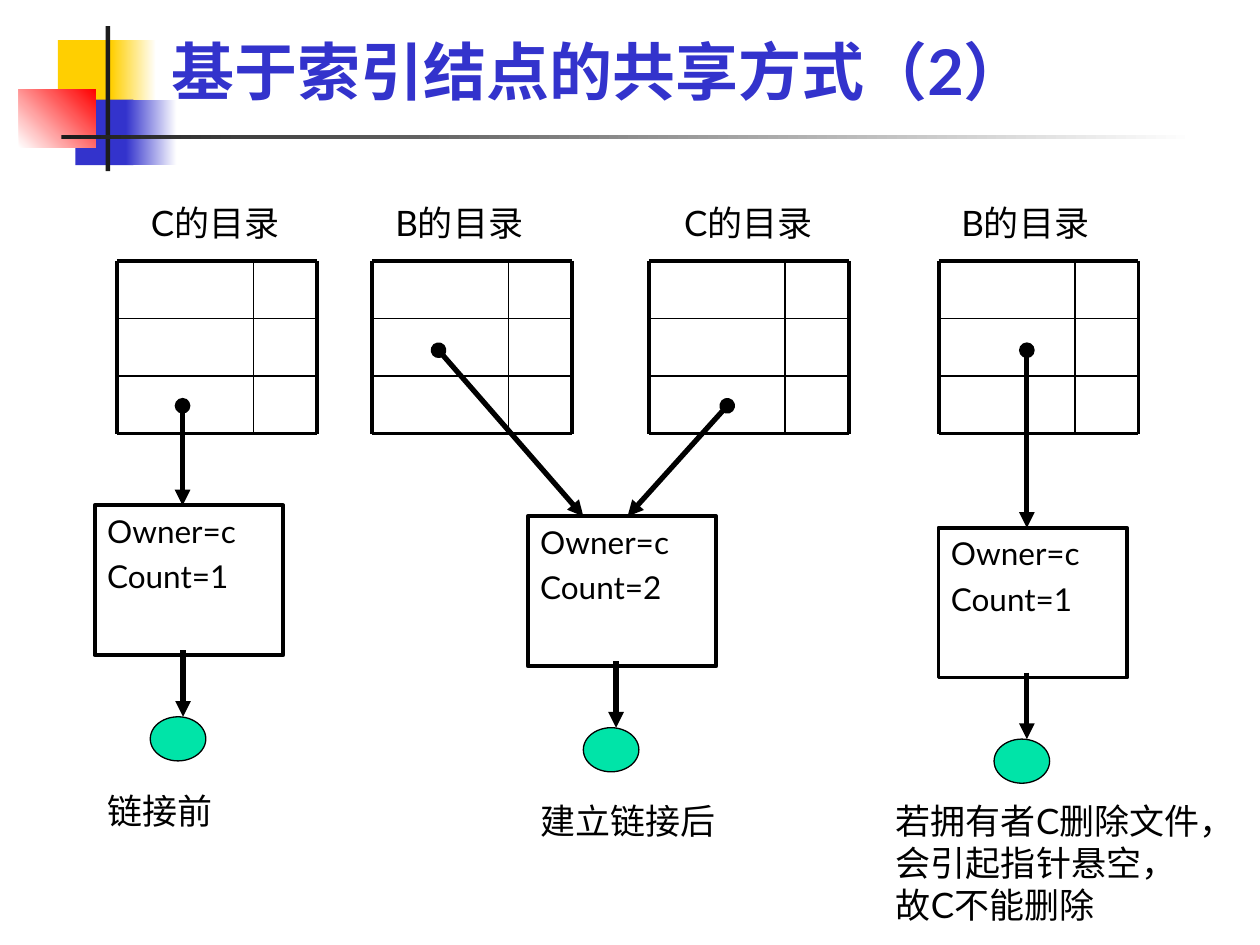
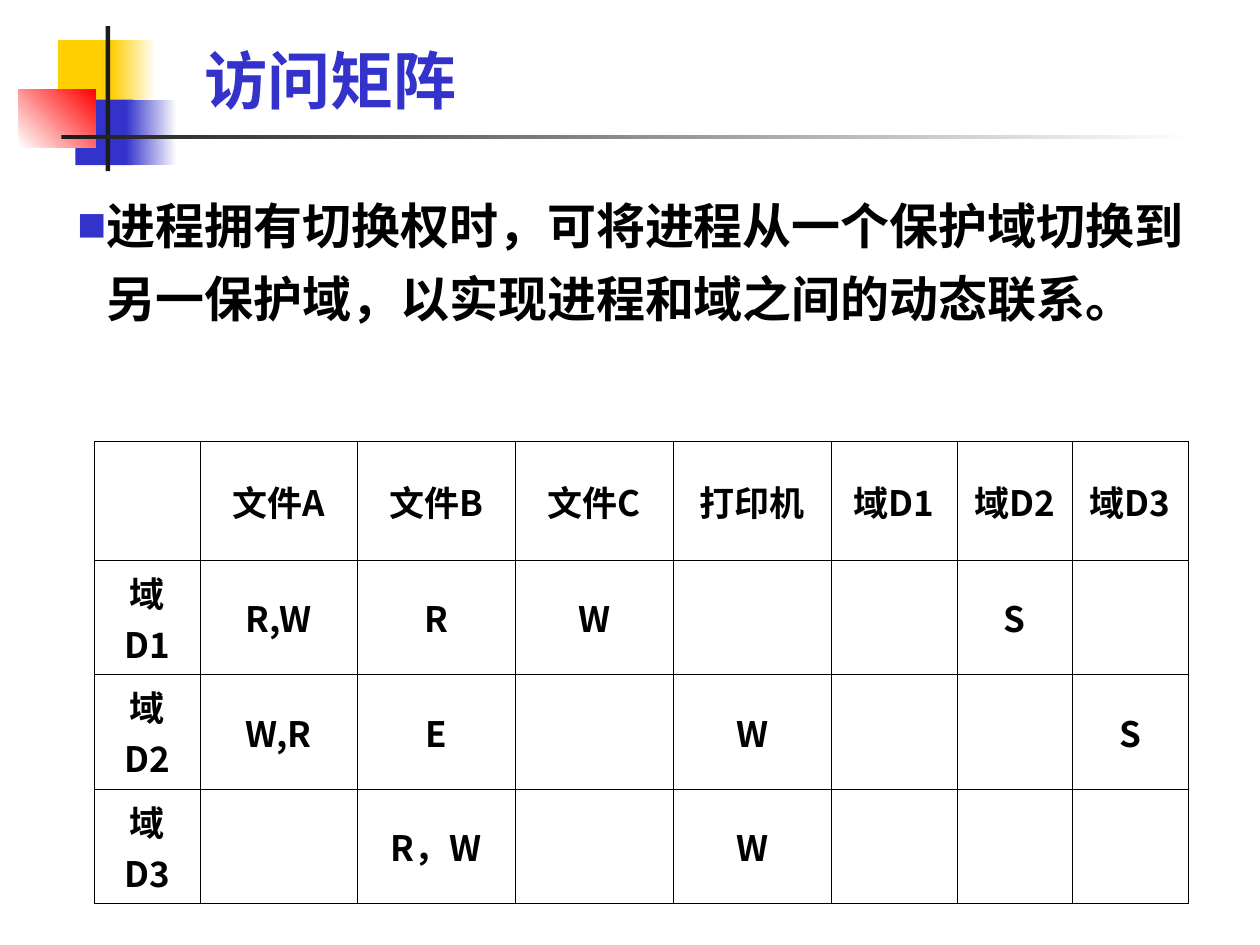
from dataclasses import dataclass

from lxml.etree import SubElement
from pptx import Presentation
from pptx.dml.color import RGBColor
from pptx.enum.shapes import MSO_CONNECTOR, MSO_SHAPE
from pptx.enum.text import MSO_ANCHOR, MSO_AUTO_SIZE, PP_ALIGN
from pptx.oxml.ns import qn
from pptx.util import Cm, Pt

COLORS = {
    "yellow": "FFCF01",
    "blue": "3333CC",
    "red": "FF0000",
    "ink": "1C1C1C",
    "white": "FFFFFF",
    "black": "000000",
    "green": "00E4A8",
}
LATO = "Lato"
NOTO = "Noto Sans CJK SC"

DIRECTORY_TOP, DIRECTORY_WIDTH = 5.26, 4.03
ENTRY_HEIGHT, NAME_WIDTH = 1.16, 2.75
INODE_WIDTH, INODE_HEIGHT = 3.8, 3.02
LABEL_TOP, LABEL_WIDTH, LINE_HEIGHT = 3.94, 3.81, 1.12


@dataclass(frozen=True)
class Block:
    left: float
    top: float
    width: float
    height: float
    start: str
    end: str = ""
    angle: int = 0


@dataclass(frozen=True)
class Directory:
    left: float
    label_left: float
    owner: str


@dataclass(frozen=True)
class Inode:
    left: float
    top: float
    count: int


@dataclass(frozen=True)
class Caption:
    left: float
    top: float
    width: float
    height: float
    text: str


@dataclass(frozen=True)
class Arrow:
    x1: float
    y1: float
    x2: float
    y2: float


BAND = [
    Block(1.17, 0.81, 1.22, 1.32, "yellow"),
    Block(2.24, 0.81, 0.91, 1.32, "yellow", "white"),
    Block(1.52, 2.01, 1.17, 1.32, "blue"),
    Block(2.54, 2.01, 1.02, 1.32, "blue", "white"),
    Block(0.38, 1.8, 1.55, 1.17, "white", "red", 45),
    Block(2.13, 0.53, 0.09, 2.92, "ink"),
    Block(1.24, 2.72, 22.86, 0.08, "ink", "white"),
]
DIRECTORIES = [
    Directory(2.36, 2.79, "C"),
    Directory(7.5, 7.72, "B"),
    Directory(13.08, 13.54, "C"),
    Directory(18.92, 19.13, "B"),
]
INODES = [Inode(1.91, 10.19, 1), Inode(10.64, 10.41, 2), Inode(18.92, 10.64, 1)]
POINTERS = [
    Arrow(3.68, 8.18, 3.68, 10.19),
    Arrow(8.84, 7.06, 11.76, 10.41),
    Arrow(14.66, 8.18, 12.65, 10.41),
    Arrow(20.7, 7.06, 20.7, 10.64),
]
CAPTIONS = [
    Caption(1.91, 15.8, 3.81, LINE_HEIGHT, "链接前"),
    Caption(10.64, 16, 5.59, LINE_HEIGHT, "建立链接后"),
    Caption(17.81, 16, 6.71, 2.79, "若拥有者C删除文件，会引起指针悬空，故C不能删除"),
]
MATRIX = [
    ["", "文件A", "文件B", "文件C", "打印机", "域D1", "域D2", "域D3"],
    ["域D1", "R,W", "R", "W", "", "", "S", ""],
    ["域D2", "W,R", "E", "", "W", "", "", "S"],
    ["域D3", "", "R，W", "", "W", "", "", ""],
]
MATRIX_COLUMNS = [2.12, *[3.18] * 4, 2.54, 2.33, 2.33]
MATRIX_ROWS = [2.39, *[1.96] * 3]


def rgb(color: str) -> RGBColor:
    return RGBColor.from_string(COLORS[color])


def format_text(paragraph, size: float, face: str = LATO,
                color: str = "black", bold: bool = False) -> None:
    font = paragraph.font
    font.size, font.bold, font.name = Pt(size), bold, face
    font.color.rgb = rgb(color)
    defaults = paragraph._p.get_or_add_pPr().find(qn("a:defRPr"))
    SubElement(defaults, qn("a:ea"), typeface=NOTO)


def place(shape, left: float, top: float, width: float, height: float) -> None:
    shape.left, shape.top = Cm(left), Cm(top)
    shape.width, shape.height = Cm(width), Cm(height)


def add_preset(slide, kind, left: float, top: float, width: float, height: float):
    shape = slide.shapes.add_shape(kind, Cm(left), Cm(top), Cm(width), Cm(height))
    shape.shadow.inherit = False
    return shape


def add_band(slide, master) -> None:
    for index, block in enumerate(BAND):
        shape = add_preset(slide, MSO_SHAPE.RECTANGLE, block.left, block.top,
                           block.width, block.height)
        shape.line.fill.background()
        if block.end:
            shape.fill.gradient()
            shape.fill.gradient_angle = block.angle
            for stop, color in zip(shape.fill.gradient_stops, (block.start, block.end)):
                stop.color.rgb = rgb(color)
        else:
            shape.fill.solid()
            shape.fill.fore_color.rgb = rgb(block.start)
        shape.element.nvSpPr.cNvPr.set("id", str(100 + index))
        master.shapes.element.insert(2 + index, shape.element)


def set_title(slide, text: str, left: float, top: float, width: float, height: float) -> None:
    title = slide.shapes.title
    place(title, left, top, width, height)
    frame = title.text_frame
    frame.text = text
    frame.auto_size = MSO_AUTO_SIZE.NONE
    frame.vertical_anchor = MSO_ANCHOR.BOTTOM
    heading = frame.paragraphs[0]
    heading.alignment = PP_ALIGN.LEFT
    format_text(heading, 36, color="blue", bold=True)


def add_line(slide, x1: float, y1: float, x2: float, y2: float, weight: float,
             head: str = "", tail: str = "") -> None:
    connector = slide.shapes.add_connector(
        MSO_CONNECTOR.STRAIGHT, Cm(x1), Cm(y1), Cm(x2), Cm(y2))
    connector.line.color.rgb = rgb("black")
    connector.line.width = Pt(weight)
    properties = connector.element.spPr
    stroke = properties.find(qn("a:ln"))
    for tag, kind in (("a:headEnd", head), ("a:tailEnd", tail)):
        if kind:
            SubElement(stroke, qn(tag), type=kind)
    SubElement(properties, qn("a:effectLst"))


def add_caption(slide, caption: Caption) -> None:
    box = slide.shapes.add_textbox(Cm(caption.left), Cm(caption.top),
                                   Cm(caption.width), Cm(caption.height))
    box.text_frame.word_wrap = True
    box.text_frame.text = caption.text
    format_text(box.text_frame.paragraphs[0], 20)


def add_directory(slide, directory: Directory) -> None:
    left, right = directory.left, directory.left + DIRECTORY_WIDTH
    bottom = DIRECTORY_TOP + 3 * ENTRY_HEIGHT
    for row, weight in enumerate((2.25, 1, 1, 2.25)):
        y = DIRECTORY_TOP + row * ENTRY_HEIGHT
        add_line(slide, left, y, right, y, weight)
    for x, weight in ((left, 2.25), (left + NAME_WIDTH, 1), (right, 2.25)):
        add_line(slide, x, DIRECTORY_TOP, x, bottom, weight)
    add_caption(slide, Caption(directory.label_left, LABEL_TOP, LABEL_WIDTH,
                               LINE_HEIGHT, f"{directory.owner}的目录"))


def add_inode(slide, inode: Inode) -> None:
    record = add_preset(slide, MSO_SHAPE.RECTANGLE, inode.left, inode.top,
                        INODE_WIDTH, INODE_HEIGHT)
    record.fill.background()
    record.line.color.rgb = rgb("black")
    record.line.width = Pt(2.25)
    frame = record.text_frame
    frame.word_wrap = True
    frame.vertical_anchor = MSO_ANCHOR.TOP
    frame.text = f"Owner=c\nCount={inode.count}"
    for index, field in enumerate(frame.paragraphs):
        field.alignment = PP_ALIGN.LEFT
        if index:
            field.space_before = Pt(4.5)
        format_text(field, 18)
    file_top = inode.top + 4.26
    file = add_preset(slide, MSO_SHAPE.OVAL, inode.left + 1.12, file_top, 1.12, 0.89)
    file.fill.solid()
    file.fill.fore_color.rgb = rgb("green")
    file.line.color.rgb = rgb("black")
    file.line.width = Pt(0.75)
    stem = inode.left + 1.78
    add_line(slide, stem, inode.top + 2.92, stem, file_top, 3, tail="triangle")


def build_sharing(slide) -> None:
    set_title(slide, "基于索引结点的共享方式（2）", 3.2, 0.33, 21.64, 1.98)
    for directory in DIRECTORIES:
        add_directory(slide, directory)
    for inode in INODES:
        add_inode(slide, inode)
    for arrow in POINTERS:
        add_line(slide, arrow.x1, arrow.y1, arrow.x2, arrow.y2, 3, "oval", "triangle")
    for caption in CAPTIONS:
        add_caption(slide, caption)


def add_square_bullet(paragraph) -> None:
    properties = paragraph._p.get_or_add_pPr()
    properties.set("marL", str(Cm(0.6)))
    properties.set("indent", str(-Cm(0.6)))
    tint = SubElement(properties, qn("a:buClr"))
    SubElement(tint, qn("a:srgbClr"), val=COLORS["blue"])
    SubElement(properties, qn("a:buSzPct"), val="60000")
    SubElement(properties, qn("a:buFont"), typeface=NOTO)
    SubElement(properties, qn("a:buChar"), char="■")


def format_cell(cell, text: str) -> None:
    cell.text = text
    cell.vertical_anchor = MSO_ANCHOR.MIDDLE
    cell.margin_left = cell.margin_right = Cm(0.25)
    cell.margin_top = cell.margin_bottom = Cm(0.13)
    entry = cell.text_frame.paragraphs[0]
    entry.alignment = PP_ALIGN.CENTER
    format_text(entry, 20, NOTO, bold=True)
    properties = cell._tc.get_or_add_tcPr()
    for side in ("a:lnL", "a:lnR", "a:lnT", "a:lnB"):
        border = SubElement(properties, qn(side), w=str(Pt(0.45)))
        fill = SubElement(border, qn("a:solidFill"))
        SubElement(fill, qn("a:srgbClr"), val=COLORS["black"])
    cell.fill.background()


def build_matrix(slide) -> None:
    set_title(slide, "访问矩阵", 3.86, 0, 21.3, 2.49)
    body = slide.placeholders[1]
    place(body, 1.3, 3.51, 23.29, 3.23)
    body.text_frame.auto_size = MSO_AUTO_SIZE.NONE
    body.text_frame.text = "进程拥有切换权时，可将进程从一个保护域切换到另一保护域，以实现进程和域之间的动态联系。"
    switching = body.text_frame.paragraphs[0]
    switching.line_spacing = 1.25
    switching.space_before = Pt(0)
    add_square_bullet(switching)
    format_text(switching, 28, NOTO, bold=True)

    matrix = slide.shapes.add_table(
        len(MATRIX_ROWS), len(MATRIX_COLUMNS), Cm(1.91), Cm(8.9),
        Cm(sum(MATRIX_COLUMNS)), Cm(sum(MATRIX_ROWS))).table
    matrix.first_row = matrix.horz_banding = False
    for column, width in zip(matrix.columns, MATRIX_COLUMNS):
        column.width = Cm(width)
    for row, height, rights in zip(matrix.rows, MATRIX_ROWS, MATRIX):
        row.height = Cm(height)
        for cell, right in zip(row.cells, rights):
            format_cell(cell, right)


def main() -> None:
    deck = Presentation()
    deck.slide_width, deck.slide_height = Cm(25.4), Cm(19.05)
    sharing = deck.slides.add_slide(deck.slide_layouts[5])
    add_band(sharing, deck.slide_master)
    build_sharing(sharing)
    build_matrix(deck.slides.add_slide(deck.slide_layouts[1]))
    deck.save("out.pptx")


if __name__ == "__main__":
    main()
